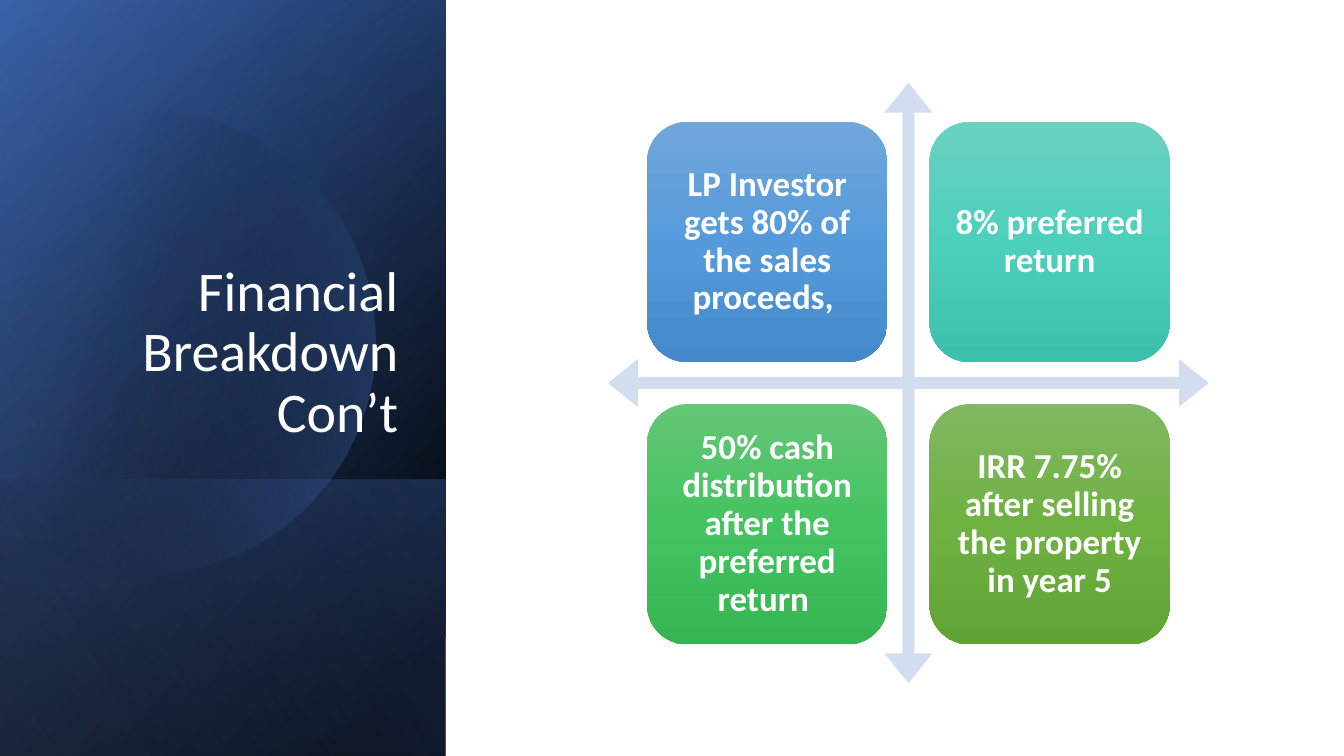
from math import acos, cos, sin

from lxml.etree import SubElement
from pptx import Presentation
from pptx.dml.color import RGBColor
from pptx.enum.shapes import MSO_SHAPE
from pptx.enum.text import MSO_ANCHOR, MSO_AUTO_SIZE, PP_ALIGN
from pptx.oxml.ns import qn
from pptx.util import Inches, Pt

SLIDE_WIDTH, SLIDE_HEIGHT = 13.33, 7.5
FONT = "Calibri"
TITLE = "Financial Breakdown Con’t"

# Gradient stops: position %, colour, opacity %
PANEL_WIDTH = 4.42
FOOT_TOP = 4.76
BACK_PANELS = [  # top, gradient angle, stops
    (0, 50, [(8, "000000", 100), (100, "2F5597", 100)]),
    (0, 30, [(0, "000000", 0), (99, "4472C4", 46)]),
    (FOOT_TOP, 130, [(2, "4472C4", 29), (100, "000000", 30)]),
]
DISC_CENTRE, DISC_RADIUS = (1.42, 3.39), 2.3
DISC_GRADIENT = (14, [(29, "000000", 0), (100, "4472C4", 43)])
FRONT_PANEL = (0, 120, [(0, "000000", 0), (99, "8FAADC", 11)])

CROSS_LEFT, CROSS_TOP, CROSS_SIZE = 6.03, 0.82, 5.96
CROSS_ADJUSTMENTS = (0.02, 0.04, 0.05)
CARD_SIZE, CARD_MARGIN = 0.4 * CROSS_SIZE, 0.065 * CROSS_SIZE
CARD_STEP = 0.47 * CROSS_SIZE
CARDS = [  # text, colours from top to bottom; two cards a row
    ("LP Investor gets 80% of the sales proceeds, ", ("71A6DB", "559BDB", "448ACA")),
    ("8% preferred return", ("6AD1C0", "4CD0BC", "3CC0AC")),
    ("50% cash distribution after the preferred return ", ("64C677", "44C460", "36B552")),
    ("IRR 7.75% after selling the property in year 5", ("81B861", "6FB242", "62A336")),
]


def color(hex_string):
    return RGBColor.from_string(hex_string)


def clean(shape):
    shape.shadow.inherit = False
    shape.line.fill.background()


def fill_gradient(shape, angle, stops):
    """Replace the fill by a linear gradient with transparent stops."""
    shape.fill.background()
    no_fill = shape._element.spPr.find(qn("a:noFill"))
    gradient = no_fill.makeelement(qn("a:gradFill"), {"rotWithShape": "1"})
    stop_list = SubElement(gradient, qn("a:gsLst"))
    for position, hex_string, opacity in stops:
        stop = SubElement(stop_list, qn("a:gs"), pos=str(position * 1000))
        stop_color = SubElement(stop, qn("a:srgbClr"), val=hex_string)
        if opacity < 100:
            SubElement(stop_color, qn("a:alpha"), val=str(opacity * 1000))
    SubElement(gradient, qn("a:lin"), ang=str(angle * 60000), scaled="0")
    no_fill.getparent().replace(no_fill, gradient)


def add_panel(slide, top, angle, stops):
    """Add a mirrored rectangle, turned by 90°, from top to the slide's foot."""
    height = SLIDE_HEIGHT - top
    shift = (height - PANEL_WIDTH) / 2
    panel = slide.shapes.add_shape(
        MSO_SHAPE.RECTANGLE, Inches(-shift), Inches(top + shift),
        Inches(height), Inches(PANEL_WIDTH))
    panel.rotation = 90
    panel._element.spPr.find(qn("a:xfrm")).set("flipH", "1")
    clean(panel)
    fill_gradient(panel, angle, stops)


def add_disc(slide):
    """Add the circle that the slide's left edge cuts off."""
    x, y = DISC_CENTRE
    limit, steps = acos(-x / DISC_RADIUS), 120
    angles = [limit * (2 * step / steps - 1) for step in range(steps + 1)]
    points = [(Inches(x + DISC_RADIUS * cos(angle)), Inches(y + DISC_RADIUS * sin(angle)))
              for angle in angles]
    builder = slide.shapes.build_freeform(*points[0])
    builder.add_line_segments(points[1:], close=True)
    disc = builder.convert_to_shape()
    clean(disc)
    fill_gradient(disc, *DISC_GRADIENT)


def set_text(shape, text, size, alignment, anchor, bold=False):
    frame = shape.text_frame
    frame.text = text
    frame.word_wrap = True
    frame.auto_size = MSO_AUTO_SIZE.NONE
    frame.vertical_anchor = anchor
    paragraph = frame.paragraphs[0]
    paragraph.alignment = alignment
    paragraph.line_spacing = 0.9
    font = paragraph.font
    font.name, font.size, font.bold = FONT, Pt(size), bold
    font.color.rgb = color("FFFFFF")


def add_cross(slide):
    cross = slide.shapes.add_shape(
        MSO_SHAPE.QUAD_ARROW, Inches(CROSS_LEFT), Inches(CROSS_TOP),
        Inches(CROSS_SIZE), Inches(CROSS_SIZE))
    for index, value in enumerate(CROSS_ADJUSTMENTS):
        cross.adjustments[index] = value
    clean(cross)
    cross.fill.solid()
    cross.fill.fore_color.rgb = color("D2DEEF")


def add_card(slide, index, text, colors):
    row, column = divmod(index, 2)
    card = slide.shapes.add_shape(
        MSO_SHAPE.ROUNDED_RECTANGLE,
        Inches(CROSS_LEFT + CARD_MARGIN + column * CARD_STEP),
        Inches(CROSS_TOP + CARD_MARGIN + row * CARD_STEP),
        Inches(CARD_SIZE), Inches(CARD_SIZE))
    clean(card)
    fill_gradient(card, 90, [(50 * step, shade, 100) for step, shade in enumerate(colors)])
    set_text(card, text, 25, PP_ALIGN.CENTER, MSO_ANCHOR.MIDDLE, bold=True)
    frame = card.text_frame
    frame.margin_left = frame.margin_right = Inches(0.1)
    frame.margin_top = frame.margin_bottom = Inches(0.1)


def main():
    presentation = Presentation()
    presentation.slide_width = Inches(SLIDE_WIDTH)
    presentation.slide_height = Inches(SLIDE_HEIGHT)
    slide = presentation.slides.add_slide(presentation.slide_layouts[5])

    for panel in BACK_PANELS:
        add_panel(slide, *panel)
    add_disc(slide)
    add_panel(slide, *FRONT_PANEL)

    title = slide.shapes.title
    title.left, title.top = Inches(0.64), Inches(1.84)
    title.width, title.height = Inches(3.41), Inches(2.62)
    set_text(title, TITLE, 40, PP_ALIGN.RIGHT, MSO_ANCHOR.BOTTOM)
    slide.shapes._spTree.append(title._element)  # in front of the panels

    add_cross(slide)
    for index, (text, colors) in enumerate(CARDS):
        add_card(slide, index, text, colors)
    presentation.save("out.pptx")


if __name__ == "__main__":
    main()
